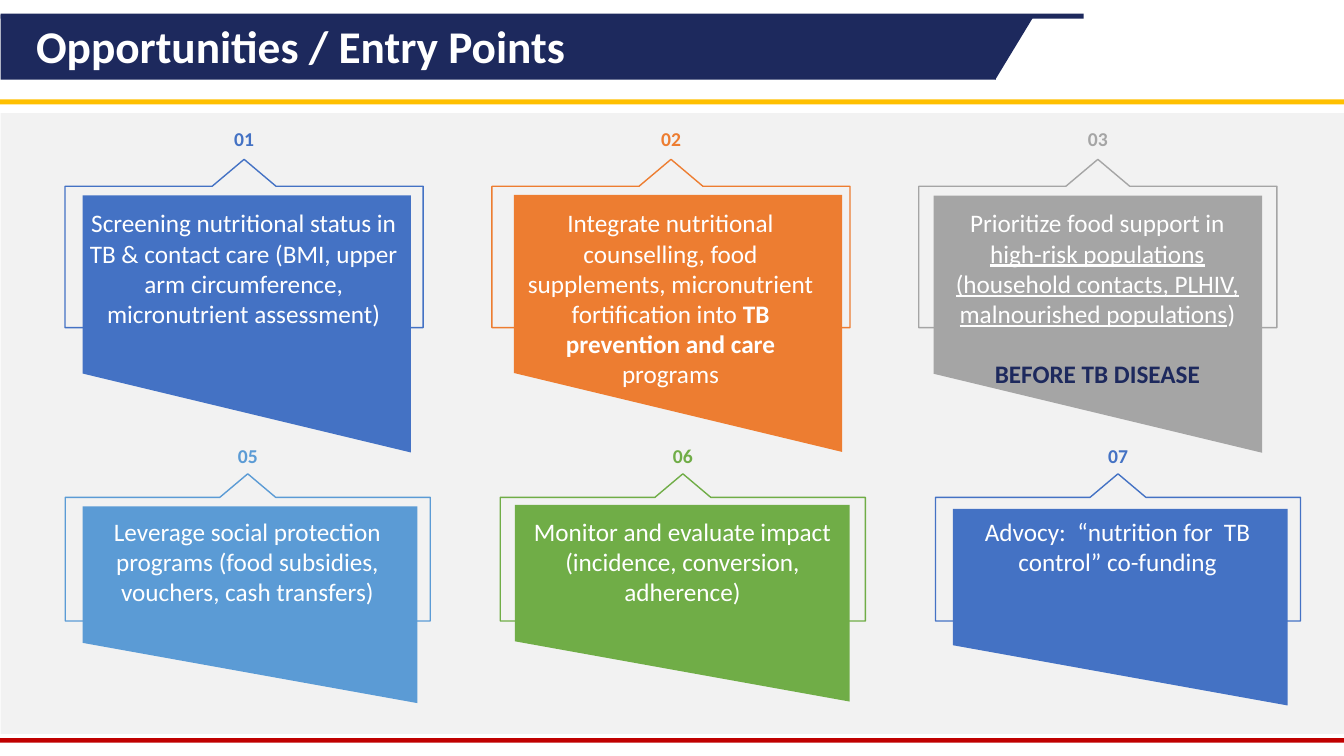
from pptx import Presentation
from pptx import util as u
from pptx.dml import color
from pptx.enum import shapes, text

NAVY, WHITE = "1D295D", "FFFFFF"
BLUE, ORANGE, GRAY, SKY, GREEN = "4472C4", "ED7D31", "A5A5A5", "5B9BD5", "70AD47"
SHAPE = shapes.MSO_SHAPE

BANDS = [
    (SHAPE.RECTANGLE, (0.5, 80.8, 959.5, 443.5), "F2F2F2", 0),
    (SHAPE.RECTANGLE, (0, 527.2, 960, 3.4), "C00000", 0),
    (SHAPE.RECTANGLE, (0, 71, 960, 3.6), "FFC000", 0),
    (SHAPE.RECTANGLE, (0.5, 10.5, 710.8, 46.4), NAVY, 0),
    (SHAPE.RECTANGLE, (0.5, 9.8, 773.5, 3.6), NAVY, 0),
    (SHAPE.ISOSCELES_TRIANGLE, (682.6, 10, 56.8, 46.8), NAVY, 180),
]

ROWS = [
    {
        "center": 174.4, "step": 304.9, "middle": 173.9, "callout": (120.2, 255.8),
        "panel": (234.6, 183.6), "shoulder": 127.2,
        "text": (148.3, 220.3, 150), "label": (84.4, 28.8),
        "cards": [
            ("01", BLUE, 59, 139.6, [[
                ("Screening nutritional status in TB & contact care (BMI, upper arm "
                 "circumference, micronutrient assessment)", {})]]),
            ("02", ORANGE, 367, 139.2, [[
                ("Integrate nutritional counselling, food supplements, micronutrient "
                 "fortification into ", {}),
                ("TB prevention and care", {"bold": True}),
                (" programs", {})]]),
            ("03", GRAY, 667, 139.8, [
                [("Prioritize food support in ", {}),
                 ("high-risk populations (household contacts, PLHIV, malnourished "
                  "populations", {"underline": True}),
                 (")", {})],
                [("BEFORE TB DISEASE", {"bold": True, "color": NAVY})]]),
        ],
    },
    {
        "center": 177, "step": 310.8, "middle": 391, "callout": (105.1, 260.8),
        "panel": (239.1, 140.5), "shoulder": 97.5,
        "text": (368.6, 224.6, 66), "label": (312.6, 25.2),
        "cards": [
            ("05", SKY, 59, 361.7, [[
                ("Leverage social protection programs (food subsidies, vouchers, "
                 "cash transfers)", {})]]),
            ("06", GREEN, 367.8, 360.6, [[
                ("Monitor and evaluate impact (incidence, conversion, adherence)", {})]]),
            ("07", BLUE, 680.7, 363.4, [[
                ("Advocy:  “nutrition for  TB control” co-funding", {})]]),
        ],
    },
]


def paint(target, value):
    if hasattr(target, "solid"):
        target.solid()
        target.fore_color.rgb = color.RGBColor.from_string(value)
    else:
        target.rgb = color.RGBColor.from_string(value)


def add_figure(page, kind, place, fill=None, rotation=0):
    figure = page.shapes.add_shape(kind, *map(u.Pt, place))
    figure.shadow.inherit = False
    figure.rotation = rotation
    if fill:
        paint(figure.fill, fill)
    else:
        figure.fill.background()
    figure.line.fill.background()
    return figure


def add_callout(page, center, middle, size, tone):
    width, height = size
    place = (center - width / 2, middle - height / 2, width, height)
    callout = add_figure(page, SHAPE.RIGHT_ARROW_CALLOUT, place, rotation=270)
    for index, value in enumerate((0.5, 0.19, 0.16, 0.86)):
        callout.adjustments[index] = value
    paint(callout.line.fill, tone)
    callout.line.width = u.Pt(1)


def add_panel(page, left, top, size, shoulder, tone):
    width, height = size
    right = left + width
    corners = [(right, top), (right, top + height), (left, top + shoulder)]
    builder = page.shapes.build_freeform(u.Pt(left), u.Pt(top))
    builder.add_line_segments([(u.Pt(x), u.Pt(y)) for x, y in corners], close=True)
    panel = builder.convert_to_shape()
    panel.shadow.inherit = False
    paint(panel.fill, tone)
    panel.line.fill.background()


def add_words(page, place, paragraphs, base, frame_format=None, para_format=None):
    box = page.shapes.add_textbox(*map(u.Pt, place))
    frame = box.text_frame
    margins = {f"margin_{side}": 0 for side in ("left", "right", "top", "bottom")}
    for name, value in {"word_wrap": True, **margins, **(frame_format or {})}.items():
        setattr(frame, name, value)
    for index, spans in enumerate(paragraphs):
        para = frame.add_paragraph() if index else frame.paragraphs[0]
        for name, value in {"alignment": text.PP_ALIGN.CENTER, **(para_format or {})}.items():
            setattr(para, name, value)
        if index:
            para.space_before = u.Pt(21.6)
        for wording, changes in spans:
            span = para.add_run()
            span.text = wording
            for name, value in {"name": "Calibri", **base, **changes}.items():
                if name == "color":
                    paint(span.font.color, value)
                else:
                    setattr(span.font, name, value)


def add_card(page, row, column):
    number, tone, left, top, paragraphs = row["cards"][column]
    center = row["center"] + column * row["step"]
    add_callout(page, center, row["middle"], row["callout"], tone)
    add_panel(page, left, top, row["panel"], row["shoulder"], tone)
    text_top, width, height = row["text"]
    add_words(page, (center - width / 2 - 0.3, text_top, width, height), paragraphs,
              {"size": u.Pt(18), "color": WHITE})
    label_top, label_height = row["label"]
    add_words(page, (center - 14.5, label_top, 29, label_height), [[(number, {})]],
              {"size": u.Pt(14), "bold": True, "color": tone},
              {"word_wrap": False, "vertical_anchor": text.MSO_ANCHOR.MIDDLE})


def main():
    deck = Presentation()
    deck.slide_width, deck.slide_height = u.Pt(960), u.Pt(540)
    page = deck.slides.add_slide(deck.slide_layouts[6])
    for kind, place, fill, rotation in BANDS:
        add_figure(page, kind, place, fill, rotation)
    add_words(page, (18.7, 16.6, 460.8, 36), [[("Opportunities / Entry Points", {})]],
              {"size": u.Pt(32.4), "bold": True, "color": WHITE},
              {"margin_left": u.Pt(7.2), "vertical_anchor": text.MSO_ANCHOR.MIDDLE},
              {"alignment": text.PP_ALIGN.LEFT, "line_spacing": 0.9})
    for row in ROWS:
        for column in range(len(row["cards"])):
            add_card(page, row, column)
    deck.save("out.pptx")


if __name__ == "__main__":
    main()
